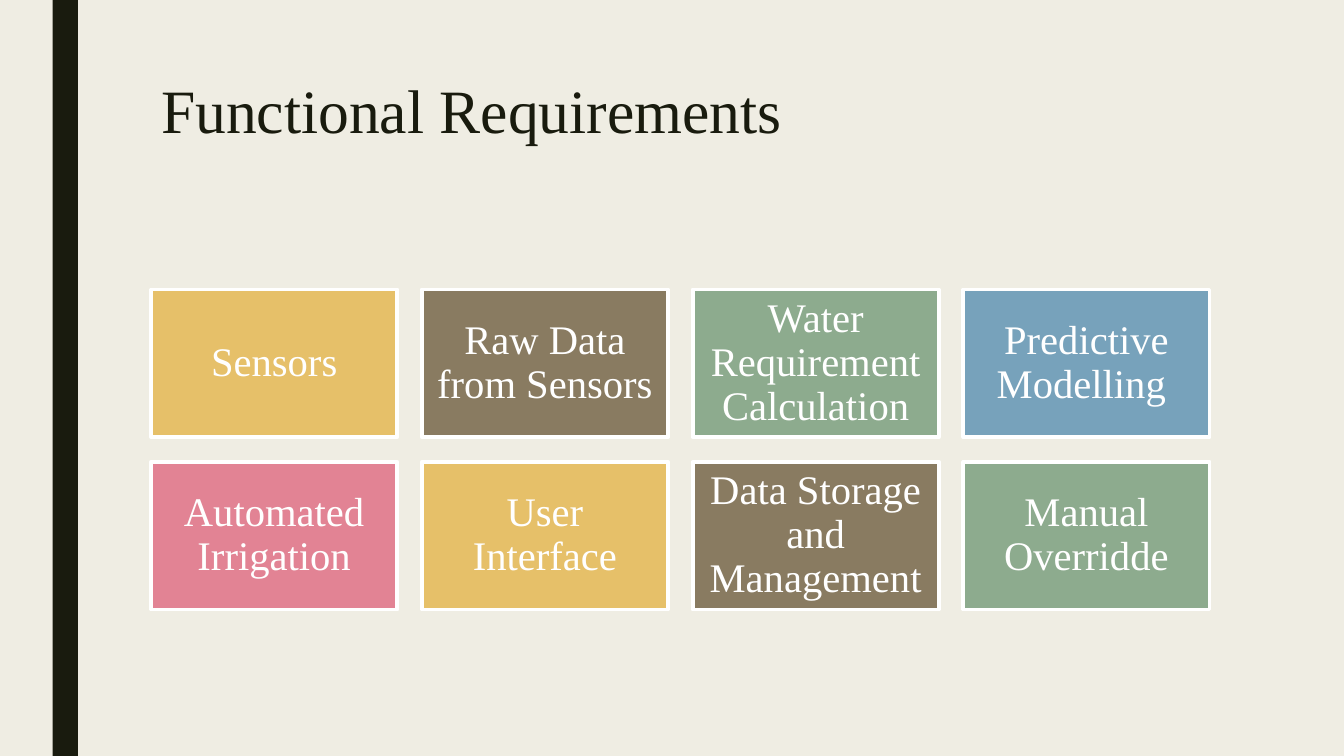
from dataclasses import dataclass

from pptx import Presentation
from pptx.dml.color import RGBColor
from pptx.enum.shapes import MSO_SHAPE as Preset
from pptx.enum.text import MSO_ANCHOR as Anchor, PP_ALIGN as Align
from pptx.shapes.autoshape import Shape
from pptx.slide import Slide
from pptx.text.text import TextFrame
from pptx.util import Pt

COLORS = {
    "paper": "EFEDE3",
    "ink": "191B0E",
    "white": "FFFFFF",
    "gold": "E6C069",
    "brown": "897B61",
    "green": "8DAB8E",
    "blue": "77A2BB",
    "pink": "E28394",
}
FONT = "Times New Roman"
SLIDE_WIDTH, SLIDE_HEIGHT = 960, 540
COLUMNS = 4
GRID_LEFT, GRID_TOP = 108, 206.8
CARD_WIDTH, CARD_HEIGHT, GAP = 175.8, 105.5, 17.6
CARD_INSET = 8.7


@dataclass(frozen=True)
class Requirement:
    label: str
    color: str


REQUIREMENTS = [
    Requirement("Sensors", "gold"),
    Requirement("Raw Data from Sensors", "brown"),
    Requirement("Water Requirement Calculation", "green"),
    Requirement("Predictive Modelling ", "blue"),
    Requirement("Automated Irrigation", "pink"),
    Requirement("User Interface", "gold"),
    Requirement("Data Storage and Management", "brown"),
    Requirement("Manual Overridde", "green"),
]


def rgb(name: str) -> RGBColor:
    return RGBColor.from_string(COLORS[name])


def write(frame: TextFrame, text: str, size: float, color: str,
          align: Align, spacing: float) -> None:
    frame.word_wrap = True
    paragraph = frame.paragraphs[0]
    paragraph.alignment = align
    paragraph.line_spacing = spacing
    run = paragraph.add_run()
    run.text = text
    run.font.name = FONT
    run.font.size = Pt(size)
    run.font.color.rgb = rgb(color)


def draw_block(slide: Slide, left: float, top: float, width: float,
               height: float, color: str) -> Shape:
    block = slide.shapes.add_shape(
        Preset.RECTANGLE, Pt(left), Pt(top), Pt(width), Pt(height))
    block.shadow.inherit = False
    block.fill.solid()
    block.fill.fore_color.rgb = rgb(color)
    block.line.fill.background()
    return block


def draw_title(slide: Slide, text: str) -> None:
    title = slide.shapes.add_textbox(Pt(108), Pt(54), Pt(756), Pt(117))
    write(title.text_frame, text, 44, "ink", Align.LEFT, 0.89)


def draw_requirement(slide: Slide, index: int, requirement: Requirement) -> None:
    row, column = divmod(index, COLUMNS)
    card = draw_block(
        slide,
        GRID_LEFT + column * (CARD_WIDTH + GAP),
        GRID_TOP + row * (CARD_HEIGHT + GAP),
        CARD_WIDTH, CARD_HEIGHT, requirement.color)
    card.line.color.rgb = rgb("white")
    card.line.width = Pt(2.75)
    frame = card.text_frame
    frame.vertical_anchor = Anchor.MIDDLE
    frame.margin_left = frame.margin_right = Pt(CARD_INSET)
    frame.margin_top = frame.margin_bottom = Pt(CARD_INSET)
    write(frame, requirement.label, 29, "white", Align.CENTER, 0.9)


def main() -> None:
    deck = Presentation()
    deck.slide_width, deck.slide_height = Pt(SLIDE_WIDTH), Pt(SLIDE_HEIGHT)
    slide = deck.slides.add_slide(deck.slide_layouts[6])
    slide.background.fill.solid()
    slide.background.fill.fore_color.rgb = rgb("paper")
    draw_block(slide, 37.6, 0, 18, SLIDE_HEIGHT, "ink")
    draw_title(slide, "Functional Requirements")
    for index, requirement in enumerate(REQUIREMENTS):
        draw_requirement(slide, index, requirement)
    deck.save("out.pptx")


if __name__ == "__main__":
    main()
